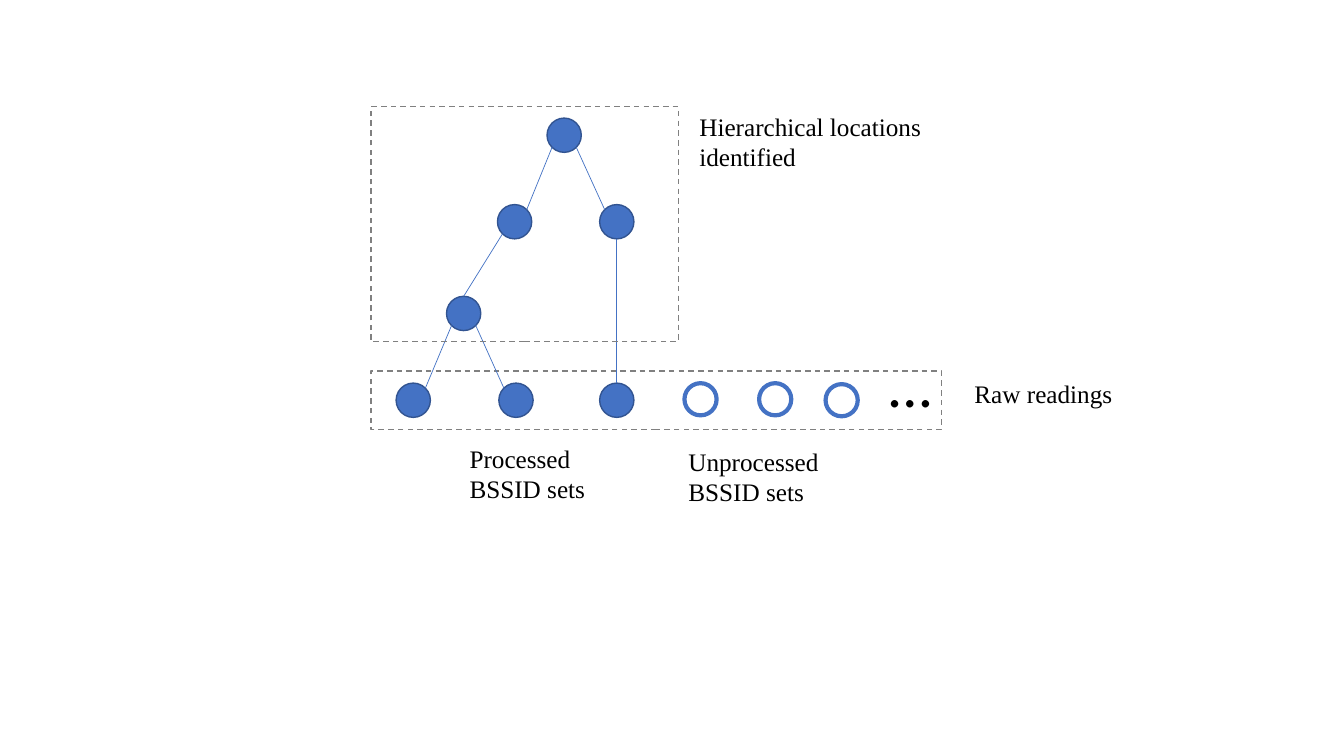
import math

import pptx
import pptx.dml.color
import pptx.enum.dml
import pptx.enum.shapes
import pptx.enum.text
import pptx.oxml.ns
import pptx.util
from lxml import etree

Pt = pptx.util.Pt
SHAPE = pptx.enum.shapes.MSO_SHAPE
BLUE, DARK_BLUE, GREY, BLACK = "4472C4", "325491", "808080", "000000"
NODE, RING = 24.5, 23
# Directions from a node's centre to its rim, in degrees clockwise from the right
DOWN_RIGHT, DOWN, DOWN_LEFT, UP, UP_RIGHT, UP_LEFT = 45, 90, 135, 270, 315, 225


def color(value):
    return pptx.dml.color.RGBColor.from_string(value)


def add_outline(s, kind, x, y, w, h, line, width, fill=None):
    sp = s.shapes.add_shape(kind, Pt(x), Pt(y), Pt(w), Pt(h))
    sp.shadow.inherit = False
    if fill:
        sp.fill.solid()
        sp.fill.fore_color.rgb = color(fill)
    else:
        sp.fill.background()
    sp.line.color.rgb = color(line)
    sp.line.width = Pt(width)
    return sp


def add_dashed_box(s, x, y, w, h):
    sp = add_outline(s, SHAPE.RECTANGLE, x, y, w, h, GREY, 1)
    sp.line.dash_style = pptx.enum.dml.MSO_LINE.DASH


def add_circle(s, cx, cy, d, line, width, fill=None):
    """Draw a circle around a centre and return that centre."""
    add_outline(s, SHAPE.OVAL, cx - d / 2, cy - d / 2, d, d, line, width, fill)
    return cx, cy


def add_node(s, cx, cy):
    return add_circle(s, cx, cy, NODE, DARK_BLUE, 1, BLUE)


def rim(center, angle):
    a = math.radians(angle)
    return [Pt(center[0] + NODE / 2 * math.cos(a)), Pt(center[1] + NODE / 2 * math.sin(a))]


def add_edge(s, parent, leave, child, enter):
    """Join two nodes between the given points of their rims."""
    line = s.shapes.add_connector(pptx.enum.shapes.MSO_CONNECTOR.STRAIGHT,
                                  *rim(parent, leave), *rim(child, enter))
    line.line.color.rgb = color(BLUE)
    line.line.width = Pt(0.5)
    etree.SubElement(line._element.spPr, pptx.oxml.ns.qn("a:effectLst"))


def add_label(s, text, x, y, w, h, size=18, font="Times New Roman"):
    tf = s.shapes.add_textbox(Pt(x), Pt(y), Pt(w), Pt(h)).text_frame
    tf.word_wrap = False
    tf.auto_size = pptx.enum.text.MSO_AUTO_SIZE.SHAPE_TO_FIT_TEXT
    tf.text = text
    for p in tf.paragraphs:
        for r in p.runs:
            r.font.size = Pt(size)
            r.font.name = font
            r.font.color.rgb = color(BLACK)


def add_readings(s, x, y, w, h):
    """Draw the row of raw readings and return the centres of the processed ones."""
    middle = y + h / 2
    leaves = [add_node(s, x + dx, middle) for dx in (30.2, 103.6, 175.6)]
    for dx, dy in ((235.4, -0.7), (288.7, -0.7), (336.2, 0)):
        add_circle(s, x + dx, middle + dy, RING, BLUE, 3)
    add_dashed_box(s, x, y, w, h)
    add_label(s, "Raw readings", x + w + 16.5, y + 2, 113, 29)
    add_label(s, "…", x + w - 44.7, y - 21.6, 45.4, 60.5, 44, "Calibri")
    add_label(s, "Processed\nBSSID sets", x + 63.3, y + h + 6.4, 98, 51)
    add_label(s, "Unprocessed\nBSSID sets", x + 219.6, y + h + 8.6, 108.7, 51)
    return leaves


def add_locations(s, leaves, x, y, w, h):
    """Draw the location tree above the given leaves."""
    root = add_node(s, x + 138, y + 20.3)
    left = add_node(s, x + 102.6, y + 82.1)
    right = add_node(s, x + 175.6, y + 82.1)
    inner = add_node(s, x + 66.2, y + 147.6)
    for parent, leave, child, enter in (
        (root, DOWN_LEFT, left, UP_RIGHT),
        (root, DOWN_RIGHT, right, UP_LEFT),
        (left, DOWN_LEFT, inner, UP),
        (inner, DOWN_LEFT, leaves[0], UP_RIGHT),
        (inner, DOWN_RIGHT, leaves[1], UP_LEFT),
        (right, DOWN, leaves[2], UP),
    ):
        add_edge(s, parent, leave, child, enter)
    add_dashed_box(s, x, y, w, h)
    add_label(s, "Hierarchical locations\nidentified", x + w + 7.9, y - 0.7, 174, 51)


def main():
    prs = pptx.Presentation()
    prs.slide_width, prs.slide_height = Pt(960), Pt(540)
    s = prs.slides.add_slide(prs.slide_layouts[6])
    leaves = add_readings(s, 265, 265, 407.5, 41.8)
    add_locations(s, leaves, 265, 76.3, 219.6, 167.8)
    prs.save("out.pptx")


if __name__ == "__main__":
    main()
